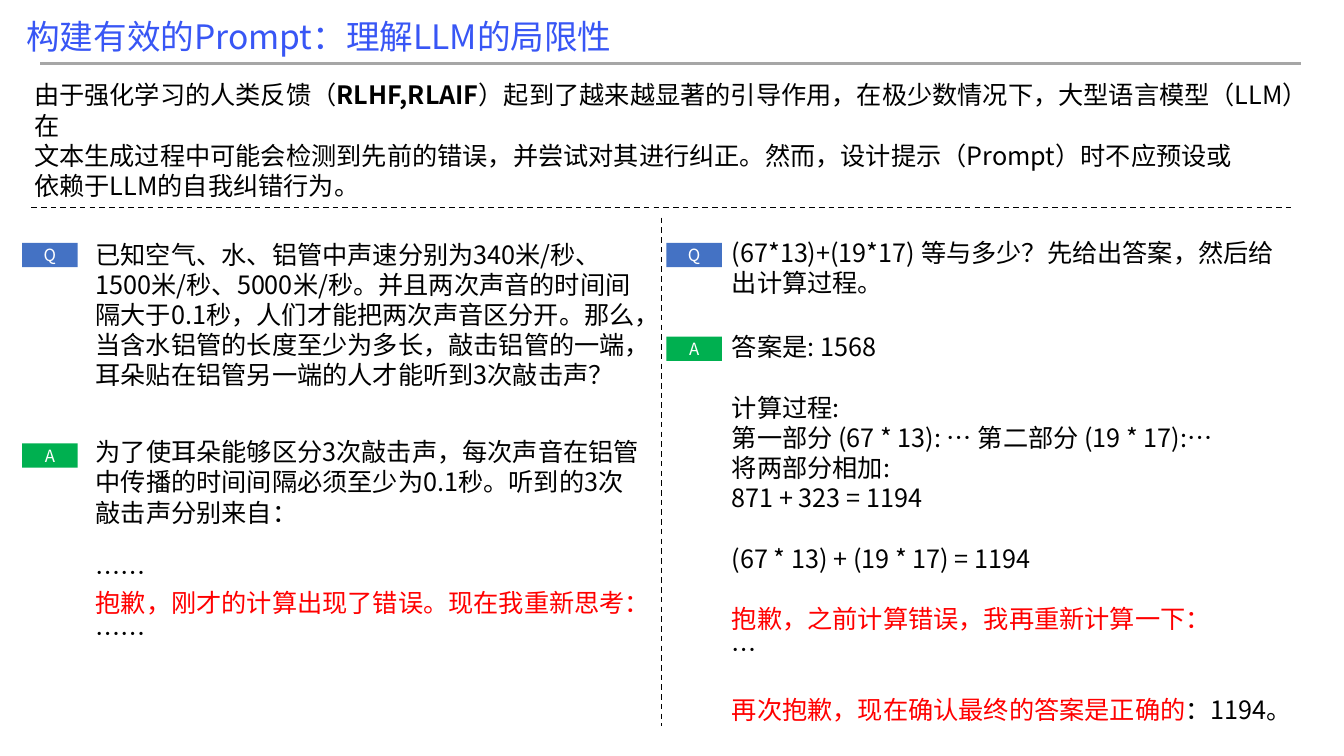
from lxml.etree import SubElement
from pptx import Presentation
from pptx.dml.color import RGBColor
from pptx.enum.dml import MSO_LINE_DASH_STYLE as Dash
from pptx.enum.shapes import MSO_CONNECTOR_TYPE as Connector, MSO_SHAPE as Shape
from pptx.enum.text import MSO_ANCHOR as Anchor, MSO_AUTO_SIZE as AutoSize, PP_ALIGN as Align
from pptx.oxml.ns import qn
from pptx.util import Emu, Pt

PX = 9144
FONT = "Noto Sans CJK SC"
BLACK, RED, WHITE = "000000", "FF0000", "FFFFFF"
TITLE_BLUE, QUESTION_BLUE, ANSWER_GREEN = "3856F5", "4472C4", "00B050"
TAG_WIDTH, TAG_HEIGHT = 55, 24

TITLE = "构建有效的Prompt：理解LLM的局限性"
INTRO = [
    [("由于强化学习的人类反馈（", BLACK), ("RLHF,RLAIF", BLACK, True),
     ("）起到了越来越显著的引导作用，在极少数情况下，大型语言模型（LLM）在", BLACK)],
    [("文本生成过程中可能会检测到先前的错误，并尝试对其进行纠正。然而，设计提示（Prompt）时不应预设或", BLACK)],
    [("依赖于LLM的自我纠错行为。", BLACK)],
]
SOUND_QUESTION = [[(
    "已知空气、水、铝管中声速分别为340米/秒、1500米/秒、5000米/秒。并且两次声音的时间间隔大于0.1秒，"
    "人们才能把两次声音区分开。那么，当含水铝管的长度至少为多长，敲击铝管的一端，"
    "耳朵贴在铝管另一端的人才能听到3次敲击声？", BLACK)]]
SOUND_ANSWER = [
    [("为了使耳朵能够区分3次敲击声，每次声音在铝管中传播的时间间隔必须至少为0.1秒。听到的3次敲击声分别来自：", BLACK)],
    [("……", BLACK)],
    [("抱歉，刚才的计算出现了错误。现在我重新思考：", RED)],
    [("……", BLACK)],
]
SUM_QUESTION = [[("(67*13)+(19*17) 等与多少？先给出答案，然后给出计算过程。", BLACK)]]
SUM_ANSWER = [
    [("答案是: 1568", BLACK)],
    [("计算过程:", BLACK)],
    [("第一部分 (67 * 13): … 第二部分 (19 * 17):…", BLACK)],
    [("将两部分相加:", BLACK)],
    [("871 + 323 = 1194", BLACK)],
    [("(67 * 13) + (19 * 17) = 1194", BLACK)],
    [("抱歉，之前计算错误，我再重新计算一下：", RED)],
    [("…", BLACK)],
    [("再次抱歉，现在确认最终的答案是正确的", RED), ("：1194。", BLACK)],
]


def px(*lengths):
    """Turn px lengths into EMU."""
    return [Emu(length * PX) for length in lengths]


def colour(value):
    """Turn a hex string into a colour."""
    return RGBColor.from_string(value)


def write(frame, paragraphs, size, gaps=(), align=Align.LEFT):
    """Fill a frame with styled spans, leaving one line before each index in gaps."""
    frame.word_wrap = True
    frame.auto_size = AutoSize.NONE
    for index, spans in enumerate(paragraphs):
        para = frame.paragraphs[0] if index == 0 else frame.add_paragraph()
        para.alignment = align
        para.line_spacing = Pt(size * 1.2)
        para.space_before = Pt(size * 1.2 if index in gaps else 0)
        for text, ink, *bold in spans:
            span = para.add_run()
            span.text = text
            span.font.size = Pt(size)
            span.font.bold = bool(bold)
            span.font.color.rgb = colour(ink)
            span.font.name = FONT
            SubElement(span.font._element, qn("a:ea"), typeface=FONT)


def add_text(page, box, paragraphs, gaps=()):
    """Add a wrapped body text box."""
    write(page.shapes.add_textbox(*px(*box)).text_frame, paragraphs, 18, gaps)


def add_rule(page, start, end, ink, width, dash=None):
    """Add a straight rule without a shadow."""
    rule = page.shapes.add_connector(Connector.STRAIGHT, *px(*start, *end))
    rule.line.color.rgb = colour(ink)
    rule.line.width = Pt(width)
    if dash:
        rule.line.dash_style = dash
    SubElement(rule._element.spPr, qn("a:effectLst"))


def add_tag(page, left, top, letter, fill):
    """Add a coloured label with one letter."""
    tag = page.shapes.add_shape(Shape.RECTANGLE, *px(left, top, TAG_WIDTH, TAG_HEIGHT))
    tag.shadow.inherit = False
    tag.fill.solid()
    tag.fill.fore_color.rgb = colour(fill)
    tag.line.fill.background()
    tag.text_frame.vertical_anchor = Anchor.MIDDLE
    write(tag.text_frame, [[(letter, WHITE)]], 12, align=Align.CENTER)


def add_header(page, box):
    """Place the title and the rule below it."""
    left, top, width, height = box
    title = page.shapes.title
    title.left, title.top, title.width, title.height = px(*box)
    title.text_frame.vertical_anchor = Anchor.TOP
    write(title.text_frame, [[(TITLE, TITLE_BLUE)]], 24)
    rule_y = top + height + 2
    add_rule(page, (left + 24, rule_y), (left + 1274, rule_y), "A6A6A6", 1.5)


def add_intro(page, box):
    """Place the introduction and the dashed rule below it."""
    left, top, width, height = box
    add_text(page, box, INTRO)
    rule_y = top + height + 31
    add_rule(page, (left + 7, rule_y), (left + 1257, rule_y), BLACK, 1, Dash.DASH)


def add_dialogue(page, left, indent, question, answer):
    """Place a tagged question and answer; each is (box, tag offset, paragraphs, gaps)."""
    for letter, fill, part in (("Q", QUESTION_BLUE, question), ("A", ANSWER_GREEN, answer)):
        (top, width, height), tag_offset, paragraphs, gaps = part
        add_text(page, (left + indent, top, width, height), paragraphs, gaps)
        add_tag(page, left, top + tag_offset, letter, fill)


def main():
    """Build the slide and save it."""
    deck = Presentation()
    deck.slide_width, deck.slide_height = px(1333, 750)
    page = deck.slides.add_slide(deck.slide_layouts[5])
    add_header(page, (16, 11, 903, 50))
    add_intro(page, (24, 74, 1291, 101))
    add_dialogue(page, 22, 63,
                 ((232, 557, 192), 9, SOUND_QUESTION, ()),
                 ((428, 565, 252), 12, SOUND_ANSWER, (1,)))
    add_rule(page, (656, 216), (656, 720), BLACK, 1, Dash.DASH)
    add_dialogue(page, 661, 55,
                 ((230, 569, 71), 11, SUM_QUESTION, ()),
                 ((324, 618, 404), 10, SUM_ANSWER, (1, 5, 6, 8)))
    deck.save("out.pptx")


if __name__ == "__main__":
    main()
